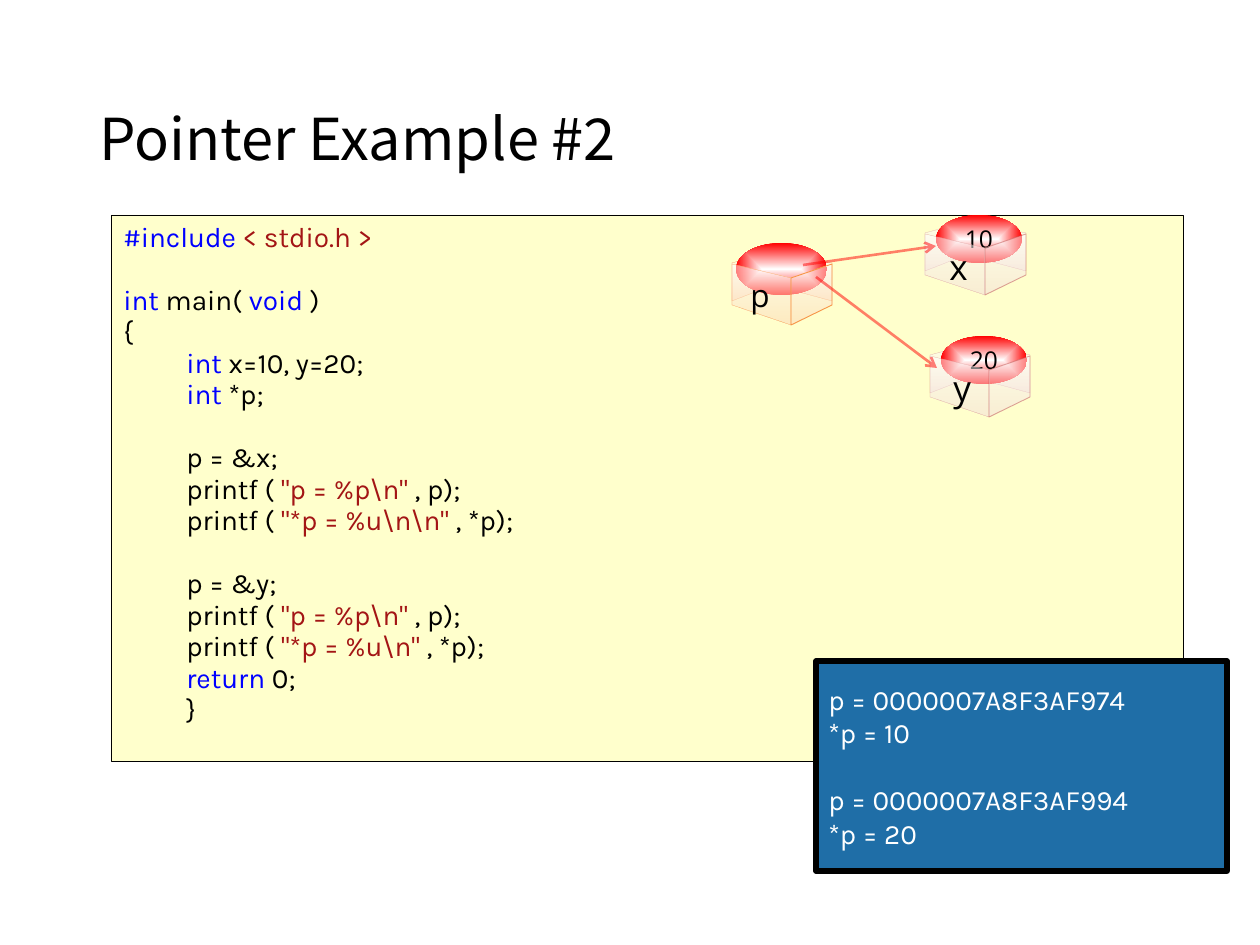
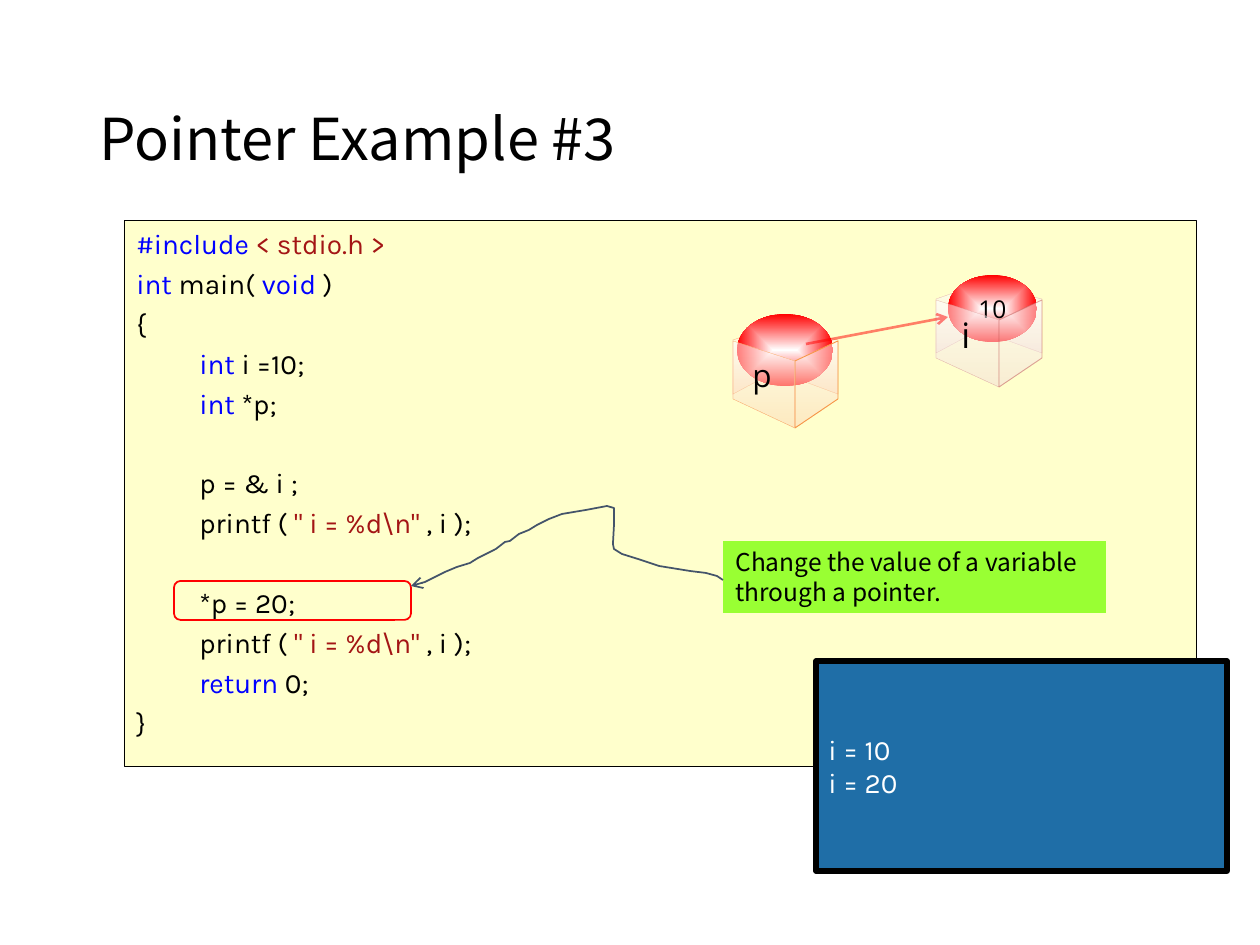
from lxml.etree import SubElement
from pptx import Presentation
from pptx.dml.color import RGBColor
from pptx.enum.shapes import MSO_CONNECTOR, MSO_SHAPE
from pptx.enum.text import MSO_ANCHOR, PP_ALIGN
from pptx.oxml import parse_xml
from pptx.oxml.ns import nsdecls, qn
from pptx.util import Pt

PX = 914400 / 126  # EMU in one px

BLACK, WHITE = RGBColor(0, 0, 0), RGBColor(255, 255, 255)
RED = RGBColor(0xFF, 0, 0)
KEYWORD_BLUE = RGBColor(0, 0, 0xFF)
STRING_RED = RGBColor(0xA3, 0x15, 0x15)
CODE_YELLOW = RGBColor(0xFF, 0xFF, 0xCC)
CONSOLE_BLUE = RGBColor(0x1F, 0x6E, 0xA7)
NOTE_GREEN = RGBColor(0x99, 0xFF, 0x33)
CURVE_SLATE = RGBColor(0x44, 0x54, 0x6A)
ORANGE, PEACH = RGBColor(0xF7, 0x96, 0x46), RGBColor(0xFC, 0xD5, 0xB5)
BRICK, ROSE = RGBColor(0xC0, 0x50, 0x4D), RGBColor(0xF2, 0xDC, 0xDB)

TITLE_FONT, CODE_FONT, LABEL_FONT = "Noto Sans CJK KR", "Karla", "Open Sans"
TITLE_AREA = (87, 50, 1086, 183)
CONSOLE_AREA = (816, 661, 411, 210)
INDENT = 63


# Content: a line is (level, spans); a span is plain text or (text, colour);
# None stands for a line's worth of space
def key(text):
    return text, KEYWORD_BLUE


def string(text):
    return text, STRING_RED


def call_printf(pattern, argument):
    return 1, ["printf ( ", string(f'"{pattern}" '), f", {argument});"]


INCLUDE = (0, [key("#include "), string("< stdio.h >")])
MAIN = (0, [key("int "), "main( ", key("void "), ")"])
OPEN_BRACE = (0, ["{"])
DECLARE_P = (1, [key("int "), "*p;"])
RETURN = (1, [key("return "), "0;"])

SLIDES = [
    {
        "title": "Pointer Example #2",
        "code_area": (111, 215, 1072, 546),
        "code_format": {"line_spacing": Pt(18), "gap": 18},
        "code": [
            INCLUDE, None, MAIN, OPEN_BRACE,
            (1, [key("int "), "x=10, y=20;"]), DECLARE_P, None,
            (1, ["p = &x;"]),
            call_printf(r"p = %p\n", "p"), call_printf(r"*p = %u\n\n", "*p"), None,
            (1, ["p = &y;"]),
            call_printf(r"p = %p\n", "p"), call_printf(r"*p = %u\n", "*p"),
            RETURN, (1, ["}"]),
        ],
        "cubes": [
            # name, value, cube area, ball area, label corner
            ("y", "20", (930, 344, 100, 73), (941, 336, 86, 48), (941, 360)),
            ("p", "", (732, 252, 100, 73), (736, 243, 91, 52), (738, 270)),
            ("x", "10", (925, 222, 101, 73), (936, 215, 86, 48), (937, 239)),
        ],
        "arrows": [(816, 277, 937, 368), (803, 265, 936, 246)],
        "output": ["p = 0000007A8F3AF974", "*p = 10", None,
                   "p = 0000007A8F3AF994", "*p = 20"],
    },
    {
        "title": "Pointer Example #3",
        "code_area": (124, 220, 1072, 546),
        "code_format": {"space_before": 3.7, "gap": 22.4},
        "code": [
            INCLUDE, MAIN, OPEN_BRACE,
            (1, [key("int"), " i =10;"]), DECLARE_P, None,
            (1, ["p = & i ;"]), call_printf(r" i = %d\n", "i "), None,
            (1, ["*p = 20;"]), call_printf(r" i = %d\n", "i "),
            RETURN, (0, ["}"]),
        ],
        "cubes": [
            ("p", "", (733, 325, 105, 103), (737, 314, 96, 72), (740, 350)),
            ("i", "10", (936, 284, 106, 103), (948, 275, 89, 67), (949, 307)),
        ],
        "arrows": [(806, 344, 948, 317)],
        "output": ["i = 10", "i = 20"],
        "highlight": (174, 581, 237, 39),
        "note": ("Change the value of a variable through a pointer.", (723, 541, 383, 72)),
        "curve": [
            (723, 580), (717, 576), (706, 573), (690, 571), (659, 566), (638, 559),
            (622, 554), (614, 549), (613, 544), (614, 526), (614, 508), (607, 506),
            (586, 510), (562, 514), (549, 519), (537, 525), (529, 530), (519, 534),
            (510, 541), (505, 542), (496, 549), (488, 553), (478, 558), (470, 563),
            (457, 567), (445, 572), (433, 578), (425, 582), (411, 586),
        ],
    },
]

# Cube faces as fractions of the cube's area: outline and line width
BACK_FACES = [
    ([(.41, 0), (.41, .45), (1, .67), (1, .15)], 0.1),
    ([(0, .67), (.41, .45), (.41, 0), (0, .15)], 0.1),
]
FRONT_FACES = [
    ([(0, .16), (0, .72), (.59, 1), (.59, .35)], 0.1),
    ([(.59, 1), (1, .72), (1, .16), (.59, .35)], 0.5),
]


def emu(*lengths):
    return [round(length * PX) for length in lengths]


def write(shape, lines, font=CODE_FONT, size=16, color=BLACK, anchor=MSO_ANCHOR.TOP,
          align=PP_ALIGN.LEFT, line_spacing=None, space_before=0, gap=0, wrap=True):
    frame = shape.text_frame
    frame.word_wrap = wrap
    frame.vertical_anchor = anchor
    para, extra = None, 0
    for line in lines:
        if line is None:
            extra = gap
            continue
        level, spans = (0, [line]) if isinstance(line, str) else line
        para = frame.paragraphs[0] if para is None else frame.add_paragraph()
        para.alignment = align
        para.space_before = Pt(space_before + extra)
        extra = 0
        if line_spacing:
            para.line_spacing = line_spacing
        if level:
            para._p.get_or_add_pPr().set("marL", str(emu(level * INDENT)[0]))
        for part in spans:
            text, tint = (part, color) if isinstance(part, str) else part
            span = para.add_run()
            span.text = text
            span.font.name, span.font.size = font, Pt(size)
            span.font.color.rgb = tint


def paint(shape, fill=None, line=None, width=1):
    shape.shadow.inherit = False
    if fill is None:
        shape.fill.background()
    else:
        shape.fill.solid()
        shape.fill.fore_color.rgb = fill
    if line is None:
        shape.line.fill.background()
    else:
        shape.line.color.rgb = line
        shape.line.width = Pt(width)


def add_box(page, area, kind=MSO_SHAPE.RECTANGLE, **look):
    box = page.shapes.add_shape(kind, *emu(*area))
    paint(box, **look)
    return box


def add_outline(page, points, close, **look):
    builder = page.shapes.build_freeform(*points[0], scale=PX)
    builder.add_line_segments(points[1:], close=close)
    shape = builder.convert_to_shape()
    paint(shape, **look)
    return shape


def set_gradient(shape, end, alpha, direction):
    """Replace the empty fill by a gradient from white to the end colour."""
    stops = "".join(
        f'<a:gs pos="{place}"><a:srgbClr val="{color}"><a:alpha val="{alpha}000"/></a:srgbClr></a:gs>'
        for place, color in ((0, WHITE), (100000, end)))
    empty = shape._element.spPr.find(qn("a:noFill"))
    empty.getparent().replace(empty, parse_xml(
        f'<a:gradFill {nsdecls("a")}><a:gsLst>{stops}</a:gsLst>{direction}</a:gradFill>'))


def fade_line(shape):
    color = shape._element.spPr.find(qn("a:ln")).find(".//" + qn("a:srgbClr"))
    SubElement(color, qn("a:alpha")).set("val", "50000")


def add_arrowhead(shape):
    SubElement(shape._element.spPr.find(qn("a:ln")), qn("a:tailEnd")).set("type", "arrow")


def add_faces(page, faces, area, is_pointer):
    left, top, width, height = area
    for corners, line_width in faces:
        points = [(left + x * width, top + y * height) for x, y in corners]
        face = add_outline(page, points, True, line=ORANGE if is_pointer else BRICK,
                           width=line_width)
        set_gradient(face, PEACH if is_pointer else ROSE, 50,
                     '<a:lin ang="5400000" scaled="0"/>')
        if not is_pointer:
            fade_line(face)


def add_cube(page, name, value, area, ball_area, label_corner):
    is_pointer = name == "p"
    add_faces(page, BACK_FACES, area, is_pointer)
    ball = add_box(page, ball_area, MSO_SHAPE.OVAL)
    set_gradient(ball, RED, 100, '<a:path path="shape"><a:fillToRect l="50000" t="50000" '
                                 'r="50000" b="50000"/></a:path>')
    if value:
        write(ball, [value], font=LABEL_FONT, size=14, anchor=MSO_ANCHOR.MIDDLE,
              align=PP_ALIGN.CENTER, wrap=False)
    add_faces(page, FRONT_FACES, area, is_pointer)
    label = page.shapes.add_textbox(*emu(*label_corner, 50, 55))
    write(label, [name], font=LABEL_FONT, size=18 if is_pointer else 20)


def add_arrow(page, ends):
    arrow = page.shapes.add_connector(MSO_CONNECTOR.STRAIGHT, *emu(*ends))
    arrow.line.color.rgb = RED
    arrow.line.width = Pt(1.5)
    fade_line(arrow)
    add_arrowhead(arrow)
    SubElement(arrow._element.spPr, qn("a:effectLst"))


def build_page(deck, content):
    page = deck.slides.add_slide(deck.slide_layouts[6])
    title = page.shapes.add_textbox(*emu(*TITLE_AREA))
    write(title, [content["title"]], font=TITLE_FONT, size=33,
          anchor=MSO_ANCHOR.MIDDLE, line_spacing=0.9)

    # Code listing
    code = add_box(page, content["code_area"], fill=CODE_YELLOW, line=BLACK, width=0.25)
    write(code, content["code"], **content["code_format"])
    if "highlight" in content:
        add_box(page, content["highlight"], MSO_SHAPE.ROUNDED_RECTANGLE, line=RED)

    # Memory diagram
    for cube in content["cubes"]:
        add_cube(page, *cube)
    for ends in content["arrows"]:
        add_arrow(page, ends)

    # Note with its curved pointer
    if "note" in content:
        text, area = content["note"]
        write(add_box(page, area, fill=NOTE_GREEN), [text], font=TITLE_FONT, size=14)
        add_arrowhead(add_outline(page, content["curve"], False, line=CURVE_SLATE))

    # Console output
    console = add_box(page, CONSOLE_AREA, fill=CONSOLE_BLUE, line=BLACK, width=3)
    write(console, content["output"], color=WHITE, anchor=MSO_ANCHOR.MIDDLE, gap=19)


def main():
    deck = Presentation()
    deck.slide_width, deck.slide_height = emu(1260, 945)
    for content in SLIDES:
        build_page(deck, content)
    deck.save("out.pptx")


if __name__ == "__main__":
    main()
